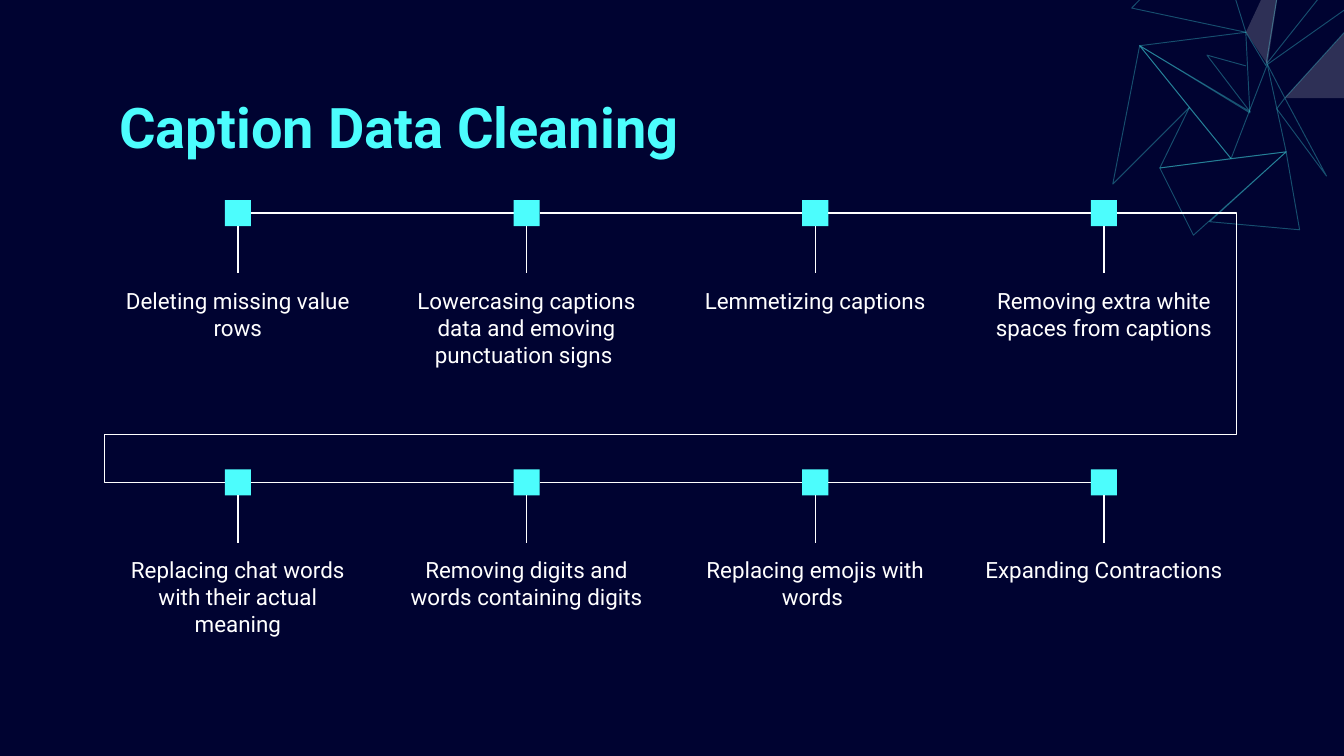
import pptx
import pptx.dml.color
import pptx.enum.shapes
import pptx.enum.text
import pptx.oxml.ns
import pptx.util
import lxml.etree

NAVY = pptx.dml.color.RGBColor(0x00, 0x03, 0x31)
CYAN = pptx.dml.color.RGBColor(0x4C, 0xFD, 0xFD)
WHITE = pptx.dml.color.RGBColor(0xFF, 0xFF, 0xFF)
FONT = "Roboto"
CONNECTOR = pptx.enum.shapes.MSO_CONNECTOR
ALIGN = pptx.enum.text.PP_ALIGN

presentation = pptx.Presentation()
presentation.slide_width = pptx.util.Inches(10)
presentation.slide_height = presentation.slide_width * 9 // 16
slide = presentation.slides.add_slide(presentation.slide_layouts[6])
slide.background.fill.solid()
slide.background.fill.fore_color.rgb = NAVY

# All lengths below are thousandths of the slide's width
UNIT = presentation.slide_width // 1000


def add_text(text, left, top, width, height, size, color=WHITE, bold=False, align=ALIGN.LEFT):
    box = slide.shapes.add_textbox(*(round(value * UNIT) for value in (left, top, width, height)))
    frame = box.text_frame
    frame.word_wrap = True
    frame.margin_left = frame.margin_right = 10 * UNIT
    frame.margin_top = frame.margin_bottom = 10 * UNIT
    paragraph = frame.paragraphs[0]
    paragraph.alignment = align
    run = paragraph.add_run()
    run.text = text
    run.font.name = FONT
    run.font.size = pptx.util.Pt(size)
    run.font.bold = bold
    run.font.color.rgb = color


def add_line(kind, *ends):
    line = slide.shapes.add_connector(kind, *(round(value * UNIT) for value in ends))
    line.line.color.rgb = WHITE
    line.line.width = pptx.util.Pt(0.75)
    lxml.etree.SubElement(line._element.spPr, pptx.oxml.ns.qn("a:effectLst"))
    return line


# Corner mesh: (points, closed, filled)
mesh = [
    ([(916, 118), (957, 113), (943, 48)], True, False),
    ([(943, 48), (956, 73), (950, 81), (987, 131), (956, 73), (1042, -22)], True, False),
    ([(916, 118), (848, 34), (930, 84), (927, 24), (942, 49)], False, False),
    ([(942, 48), (1004, -30), (956, -38)], True, False),
    ([(842, 6), (927, 24), (902, -56)], True, False),
    ([(927, 49), (898, 41), (930, 83), (848, 34), (927, 24)], False, False),
    ([(828, 137), (885, 80), (848, 34)], True, False),
    ([(863, 125), (888, 175), (957, 113)], True, False),
    ([(863, 125), (916, 118), (885, 80)], True, False),
    ([(900, 165), (967, 171), (957, 113)], True, False),
    ([(927, 24), (956, -38), (943, 48)], True, True),
    ([(956, 73), (1034, 73), (1007, 17)], True, True),
]
for points, closed, filled in mesh:
    builder = slide.shapes.build_freeform(*points[0], scale=UNIT)
    builder.add_line_segments(points[1:], close=closed)
    shape = builder.convert_to_shape()
    shape.shadow.inherit = False
    if filled:
        shape.line.fill.background()
        paint, color, alpha = shape.fill, WHITE, 18
    else:
        shape.fill.background()
        shape.line.width = pptx.util.Pt(0.5)
        paint, color, alpha = shape.line.fill, CYAN, 30
    paint.solid()
    paint.fore_color.rgb = color
    for node in shape._element.spPr.iter(pptx.oxml.ns.qn("a:srgbClr")):
        lxml.etree.SubElement(node, pptx.oxml.ns.qn("a:alpha"), val=str(alpha * 1000))

# Title
add_text("Caption Data Cleaning", 79, 59, 843, 63, size=30, color=CYAN, bold=True)

# Timeline: two rows of four steps
steps = [
    ["Deleting missing value rows",
     "Lowercasing captions data and emoving punctuation signs ",
     "Lemmetizing captions",
     "Removing extra white spaces from captions"],
    ["Replacing chat words with their actual meaning",
     "Removing digits and words containing digits",
     "Replacing emojis with words ",
     "Expanding Contractions"],
]
FIRST_X, COLUMN = 177, 214.8
FIRST_Y, ROW = 158.5, 200.5
HALF = 9.7  # half the side of a marker
STEM_END = 45
LABEL_WIDTH, LABEL_HEIGHT = 198, 93

for row, labels in enumerate(steps):
    y = FIRST_Y + row * ROW
    for column, label in enumerate(labels):
        x = FIRST_X + column * COLUMN
        marker = slide.shapes.add_shape(
            pptx.enum.shapes.MSO_SHAPE.RECTANGLE,
            *(round(value * UNIT) for value in (x - HALF, y - HALF, 2 * HALF, 2 * HALF)))
        marker.shadow.inherit = False
        marker.fill.solid()
        marker.fill.fore_color.rgb = CYAN
        marker.line.fill.background()
        add_text(label, x - LABEL_WIDTH / 2, y + STEM_END, LABEL_WIDTH, LABEL_HEIGHT,
                 size=12, align=ALIGN.CENTER)
        add_line(CONNECTOR.STRAIGHT, x, y + HALF, x, y + STEM_END)
        if column < len(labels) - 1:
            add_line(CONNECTOR.STRAIGHT, x + HALF, y, x + COLUMN - HALF, y)

# Bent line from the end of the first row to the start of the second
turn = add_line(CONNECTOR.ELBOW, FIRST_X + 3 * COLUMN + HALF, FIRST_Y, FIRST_X - HALF, FIRST_Y + ROW)
geometry = turn._element.spPr.find(pptx.oxml.ns.qn("a:prstGeom"))
geometry.set("prst", "bentConnector5")
guides = geometry.find(pptx.oxml.ns.qn("a:avLst"))
for number, share in enumerate((-0.134, 0.821, 1.135), start=1):
    lxml.etree.SubElement(guides, pptx.oxml.ns.qn("a:gd"),
                          name=f"adj{number}", fmla=f"val {round(share * 100000)}")

presentation.save("out.pptx")
